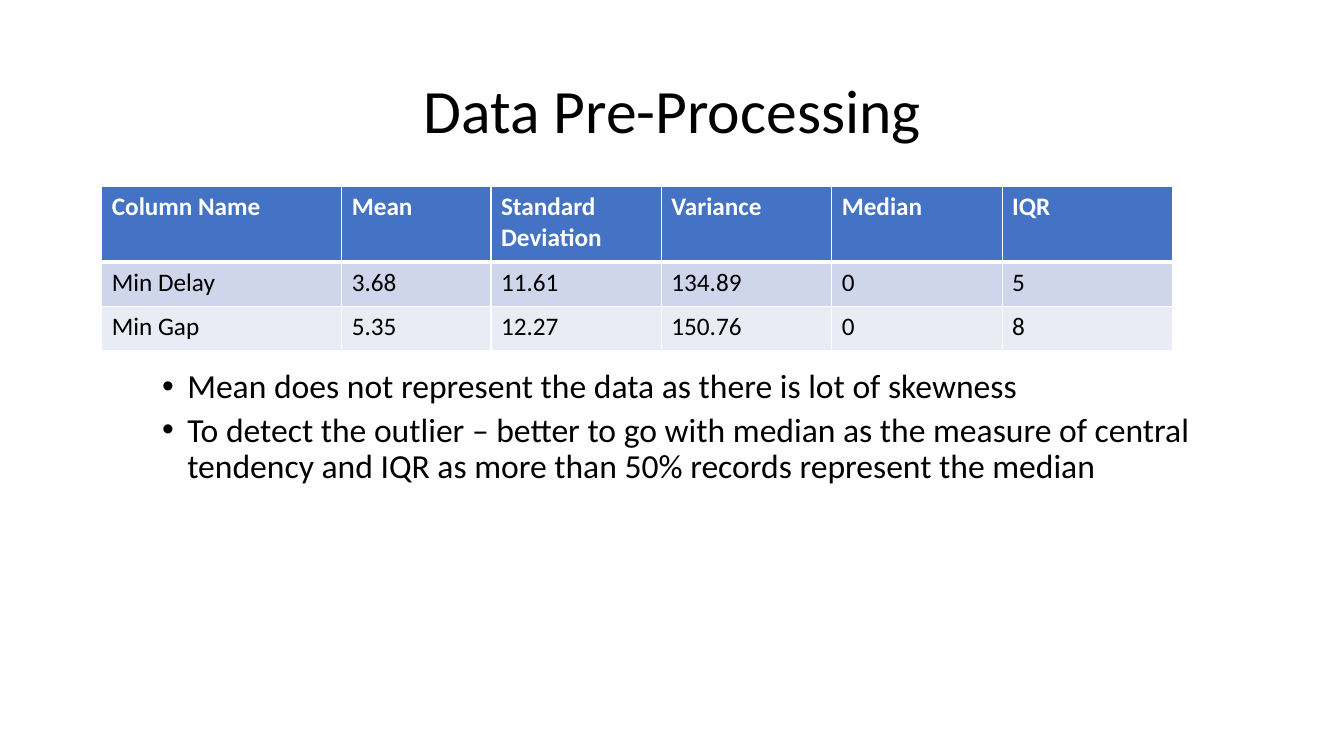
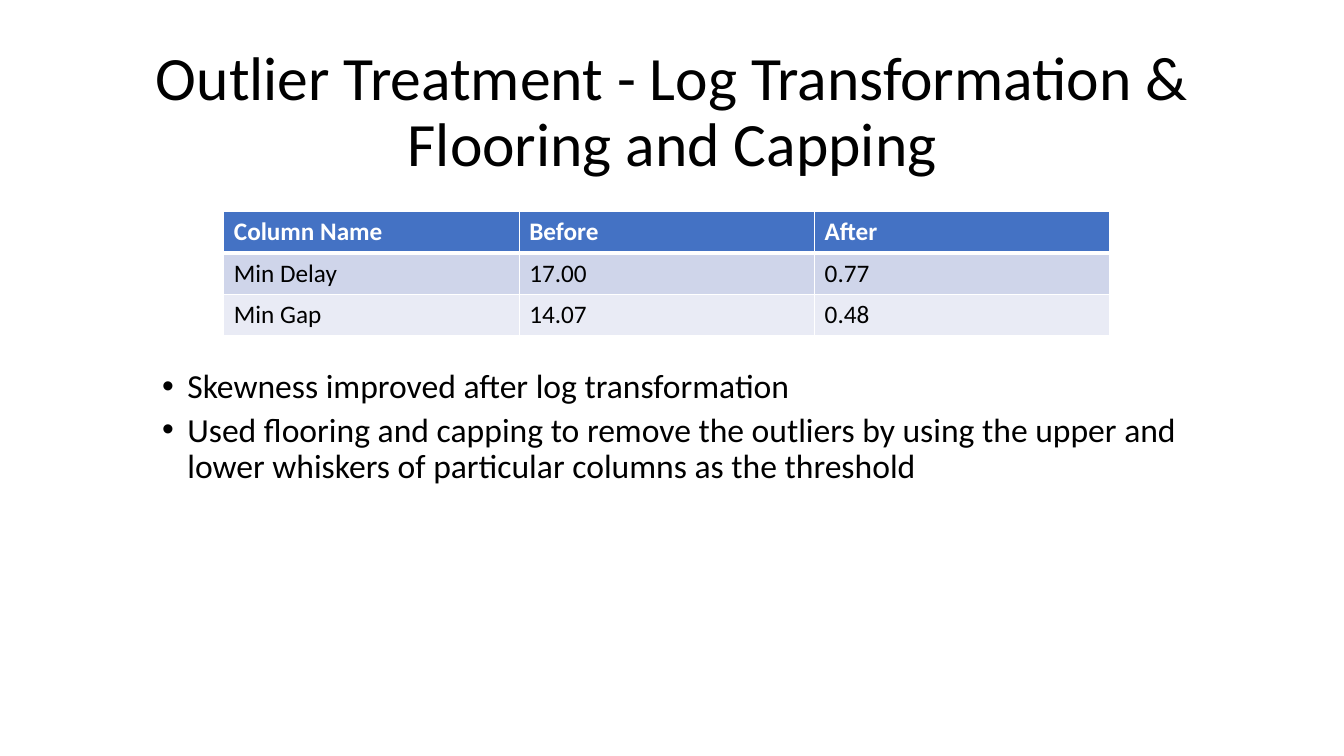
from dataclasses import dataclass

from lxml.etree import SubElement
from pptx import Presentation
from pptx.dml.color import RGBColor
from pptx.enum.text import MSO_ANCHOR, PP_ALIGN
from pptx.oxml.ns import qn
from pptx.slide import Slide
from pptx.table import _Cell
from pptx.text.text import TextFrame, _Paragraph
from pptx.util import Inches, Pt


@dataclass(frozen=True)
class Theme:
    font: str = "Calibri"
    ink: str = "000000"
    white: str = "FFFFFF"
    head: str = "4472C4"
    bands: tuple[str, ...] = ("CFD5EA", "E9EBF5")
    title: int = 44
    body: int = 24
    cell: int = 18
    rule: int = 1
    thick: int = 3


@dataclass(frozen=True)
class Box:
    left: float
    top: float
    width: float
    height: float


@dataclass(frozen=True)
class Grid:
    left: float
    top: float
    cols: list[float]
    rows: list[float]
    cells: list[list[str]]


@dataclass(frozen=True)
class Page:
    title: str
    grid: Grid
    points: list[str]


THEME = Theme()
TITLE = Box(0.92, 0.4, 11.5, 1.45)
BODY = Box(1.01, 3.62, 11.4, 3.13)

PAGES = [
    Page(
        "Data Pre-Processing",
        Grid(1.01, 1.85, [2.38, 1.48] + [1.69] * 4, [0.75, 0.44, 0.44], [
            ["Column Name", "Mean", "Standard Deviation", "Variance", "Median", "IQR"],
            ["Min Delay", "3.68", "11.61", "134.89", "0", "5"],
            ["Min Gap", "5.35", "12.27", "150.76", "0", "8"],
        ]),
        [
            "Mean does not represent the data as there is lot of skewness",
            "To detect the outlier – better to go with median as the measure of "
            "central tendency and IQR as more than 50% records represent the median",
        ],
    ),
    Page(
        "Outlier Treatment - Log Transformation & Flooring and Capping",
        Grid(2.22, 2.1, [2.93] * 3, [0.41] * 3, [
            ["Column Name", "Before", "After"],
            ["Min Delay", "17.00", "0.77"],
            ["Min Gap", "14.07", "0.48"],
        ]),
        [
            "Skewness improved after log transformation",
            "Used flooring and capping to remove the outliers by using the upper "
            "and lower whiskers of particular columns as the threshold",
        ],
    ),
]


def write(para: _Paragraph, text: str, *, size: int, color: str = THEME.ink,
          bold: bool = False, align: PP_ALIGN = PP_ALIGN.LEFT,
          line: float = 1.0, before: int = 0) -> None:
    para.alignment = align
    para.line_spacing = line
    para.space_before = Pt(before)
    run = para.add_run()
    run.text = text
    run.font.name = THEME.font
    run.font.size = Pt(size)
    run.font.bold = bold
    run.font.color.rgb = RGBColor.from_string(color)


def add_text(slide: Slide, box: Box, anchor: MSO_ANCHOR) -> TextFrame:
    shape = slide.shapes.add_textbox(
        Inches(box.left), Inches(box.top), Inches(box.width), Inches(box.height))
    frame = shape.text_frame
    frame.word_wrap = True
    frame.vertical_anchor = anchor
    return frame


def add_title(slide: Slide, text: str) -> None:
    frame = add_text(slide, TITLE, MSO_ANCHOR.MIDDLE)
    write(frame.paragraphs[0], text, size=THEME.title,
          align=PP_ALIGN.CENTER, line=0.9)


def add_points(slide: Slide, points: list[str]) -> None:
    frame = add_text(slide, BODY, MSO_ANCHOR.TOP)
    for i, text in enumerate(points):
        para = frame.add_paragraph() if i else frame.paragraphs[0]
        para.level = 1
        write(para, text, size=THEME.body, line=0.9, before=5)
        props = para._p.get_or_add_pPr()
        props.set("marL", str(Inches(0.75)))
        props.set("indent", str(Inches(-0.25)))
        SubElement(props, qn("a:buFont"), typeface="Arial")
        SubElement(props, qn("a:buChar"), char="•")


def add_rules(cell: _Cell, row: int) -> None:
    props = cell._tc.get_or_add_tcPr()
    top = THEME.thick if row == 1 else THEME.rule
    base = THEME.thick if row == 0 else THEME.rule
    widths = {"lnL": THEME.rule, "lnR": THEME.rule, "lnT": top, "lnB": base}
    for side, width in widths.items():
        line = SubElement(props, qn(f"a:{side}"), w=str(Pt(width)))
        fill = SubElement(line, qn("a:solidFill"))
        SubElement(fill, qn("a:srgbClr"), val=THEME.white)


def add_grid(slide: Slide, grid: Grid) -> None:
    table = slide.shapes.add_table(
        len(grid.rows), len(grid.cols), Inches(grid.left), Inches(grid.top),
        Inches(sum(grid.cols)), Inches(sum(grid.rows))).table
    for col, width in zip(table.columns, grid.cols):
        col.width = Inches(width)
    for row, height in zip(table.rows, grid.rows):
        row.height = Inches(height)
    fills = (THEME.head, *THEME.bands)
    for r, texts in enumerate(grid.cells):
        for c, text in enumerate(texts):
            cell = table.cell(r, c)
            add_rules(cell, r)
            cell.fill.solid()
            cell.fill.fore_color.rgb = RGBColor.from_string(fills[r])
            write(cell.text_frame.paragraphs[0], text, size=THEME.cell,
                  color=THEME.ink if r else THEME.white, bold=r == 0)


def main() -> None:
    deck = Presentation()
    deck.slide_width = Inches(13.33)
    deck.slide_height = Inches(7.5)
    for page in PAGES:
        slide = deck.slides.add_slide(deck.slide_layouts[6])
        add_title(slide, page.title)
        add_grid(slide, page.grid)
        add_points(slide, page.points)
    deck.save("out.pptx")


if __name__ == "__main__":
    main()
